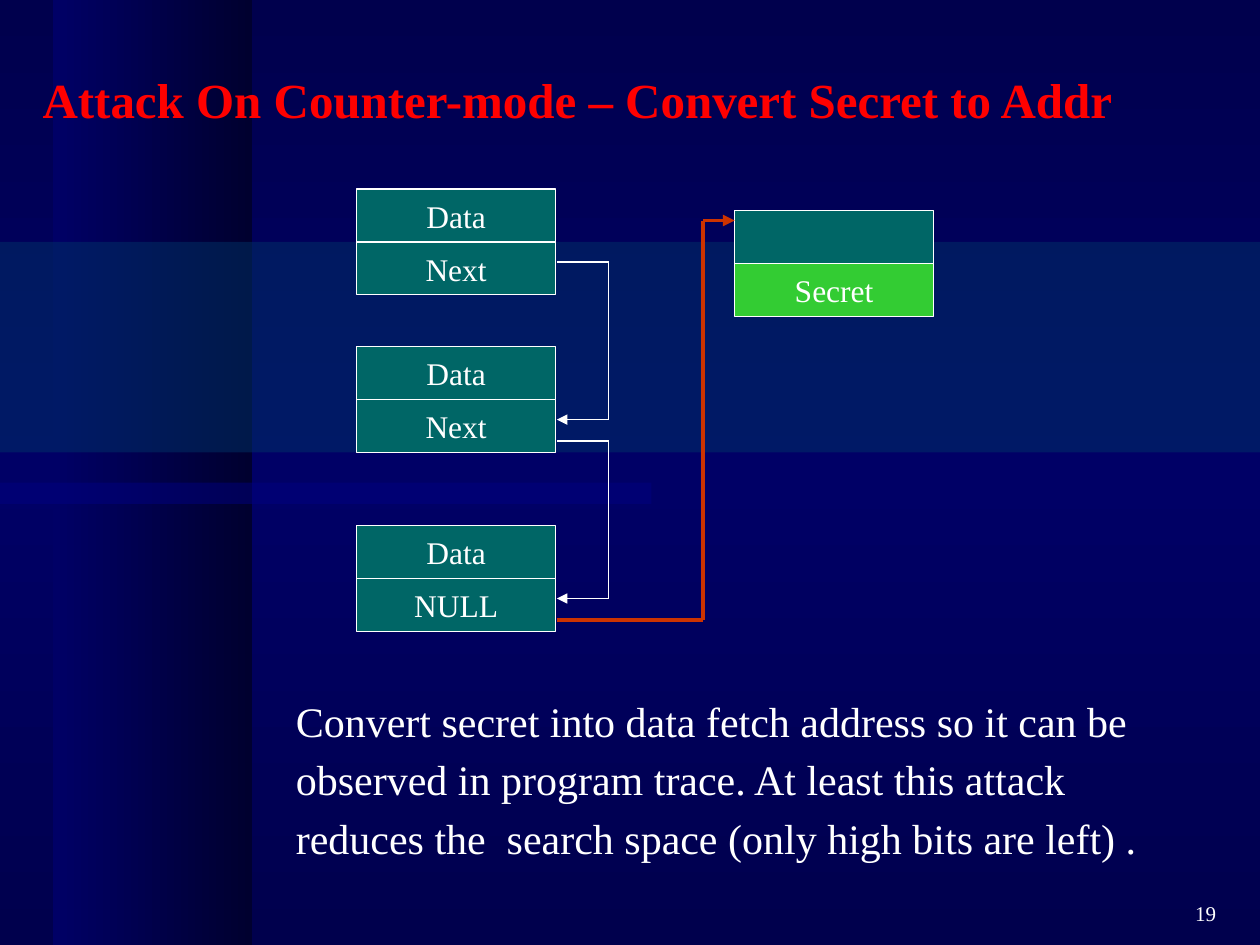
import pptx
import pptx.dml.color
import pptx.enum.shapes
import pptx.enum.text
import pptx.oxml
import pptx.oxml.ns
import pptx.util
from lxml import etree

Inches, Pt = pptx.util.Inches, pptx.util.Pt
ALIGN = pptx.enum.text.PP_ALIGN
ANCHOR = pptx.enum.text.MSO_ANCHOR
qn = pptx.oxml.ns.qn

FONT = "Times New Roman"
WHITE, RED, RUST = "FFFFFF", "FF0000", "CC3300"
TEAL, GREEN = "006666", "33CC33"

BACKDROP = [(0, "00004D"), (50, "000066"), (100, "00004D")]
PILLAR = [(0, "00002F"), (100, "000066")]
BANDS = [((0, 3.83, 5.17, 0.17), "000080"), ((0, 1.92, 10, 1.67), "003366")]

TITLE = "Attack On Counter-mode – Convert Secret to Addr"
EXPLANATION = [
    "Convert secret into data fetch address so it can be",
    "observed in program trace. At least this attack",
    "reduces the  search space (only high bits are left) .",
]
PAGE = "19"

CELL_W, CELL_H = 1.58, 0.42
# left, top, cells from top to bottom
NODES = [
    (2.83, 1.5, [("Data", TEAL), ("Next", TEAL)]),
    (2.83, 2.75, [("Data", TEAL), ("Next", TEAL)]),
    (2.83, 4.17, [("Data", TEAL), ("NULL", TEAL)]),
    (5.83, 1.67, [("", TEAL), ("Secret", GREEN)]),
]
# start x, start y, turning x, end x, end y, colour, width
NODE_RIGHT = 4.42
POINTERS = [
    (NODE_RIGHT, 2.08, 4.83, NODE_RIGHT, 3.33, WHITE, 0.75),
    (NODE_RIGHT, 3.5, 4.83, NODE_RIGHT, 4.75, WHITE, 0.75),
    (NODE_RIGHT, 4.92, 5.58, 5.83, 1.75, RUST, 2.25),
]


def rgb(value):
    return pptx.dml.color.RGBColor.from_string(value)


def set_gradient(fill, holder, stops, angle):
    fill.gradient()
    fill.gradient_angle = angle
    stop_list = next(holder.iter(qn("a:gsLst")))
    for old in list(stop_list):
        stop_list.remove(old)
    for position, colour in stops:
        stop = etree.SubElement(stop_list, qn("a:gs"), pos=str(position * 1000))
        etree.SubElement(stop, qn("a:srgbClr"), val=colour)


def add_rect(slide, box):
    rect = slide.shapes.add_shape(
        pptx.enum.shapes.MSO_SHAPE.RECTANGLE, *map(Inches, box))
    rect.shadow.inherit = False
    rect.line.fill.background()
    return rect


def add_band(slide, box, colour):
    """Half-transparent horizontal strip."""
    band = add_rect(slide, box)
    band.fill.solid()
    band.fill.fore_color.rgb = rgb(colour)
    tint = next(band.fill._xPr.iter(qn("a:srgbClr")))
    etree.SubElement(tint, qn("a:alpha"), val="50000")


def write(frame, lines, size, colour=WHITE, bold=False, align=ALIGN.LEFT):
    for index, line in enumerate(lines):
        paragraph = frame.paragraphs[0] if index == 0 else frame.add_paragraph()
        paragraph.alignment = align
        if len(lines) > 1:
            paragraph.line_spacing = 0.95
        if index:
            paragraph.space_before = Pt(6)
        run = paragraph.add_run()
        run.text = line
        run.font.name = FONT
        run.font.size = Pt(size)
        run.font.bold = bold
        run.font.color.rgb = rgb(colour)


def add_text(slide, box, lines, size, anchor=ANCHOR.TOP, **style):
    frame = slide.shapes.add_textbox(*map(Inches, box)).text_frame
    frame.word_wrap = True
    frame.vertical_anchor = anchor
    write(frame, lines, size, **style)


def add_node(slide, left, top, cells):
    for row, (label, colour) in enumerate(cells):
        cell = add_rect(slide, (left, top + row * CELL_H, CELL_W, CELL_H))
        cell.fill.solid()
        cell.fill.fore_color.rgb = rgb(colour)
        cell.line.color.rgb = rgb(WHITE)
        cell.line.width = Pt(0.75)
        if label:
            cell.text_frame.word_wrap = False
            cell.text_frame.vertical_anchor = ANCHOR.MIDDLE
            write(cell.text_frame, [label], 18, align=ALIGN.CENTER)


def add_pointer(slide, x1, y1, turn, x2, y2, colour, width):
    """Three straight segments, with an arrowhead on the last."""
    corners = [(x1, y1), (turn, y1), (turn, y2), (x2, y2)]
    for start, end in zip(corners, corners[1:]):
        segment = slide.shapes.add_connector(
            pptx.enum.shapes.MSO_CONNECTOR.STRAIGHT, *map(Inches, start + end))
        segment.line.color.rgb = rgb(colour)
        segment.line.width = Pt(width)
        properties = segment._element.spPr
        etree.SubElement(properties, qn("a:effectLst"))
        if end == corners[-1]:
            etree.SubElement(properties.find(qn("a:ln")), qn("a:tailEnd"),
                             type="triangle")


def main():
    deck = pptx.Presentation()
    deck.slide_width, deck.slide_height = Inches(10), Inches(7.5)
    slide = deck.slides.add_slide(deck.slide_layouts[6])

    set_gradient(slide.background.fill, slide._element, BACKDROP, 90)
    pillar = add_rect(slide, (0.42, 0, 1.58, 7.5))
    set_gradient(pillar.fill, pillar._element, PILLAR, 180)
    for box, colour in BANDS:
        add_band(slide, box, colour)

    add_text(slide, (0.24, 0.5, 9.76, 0.57), [TITLE], 28, colour=RED, bold=True)
    for node in NODES:
        add_node(slide, *node)
    for pointer in POINTERS:
        add_pointer(slide, *pointer)
    add_text(slide, (2.25, 5.5, 7, 1.41), EXPLANATION, 24)
    add_text(slide, (7.67, 7, 2.08, 0.5), [PAGE], 12, ANCHOR.MIDDLE,
             align=ALIGN.RIGHT)

    deck.save("out.pptx")


if __name__ == "__main__":
    main()
